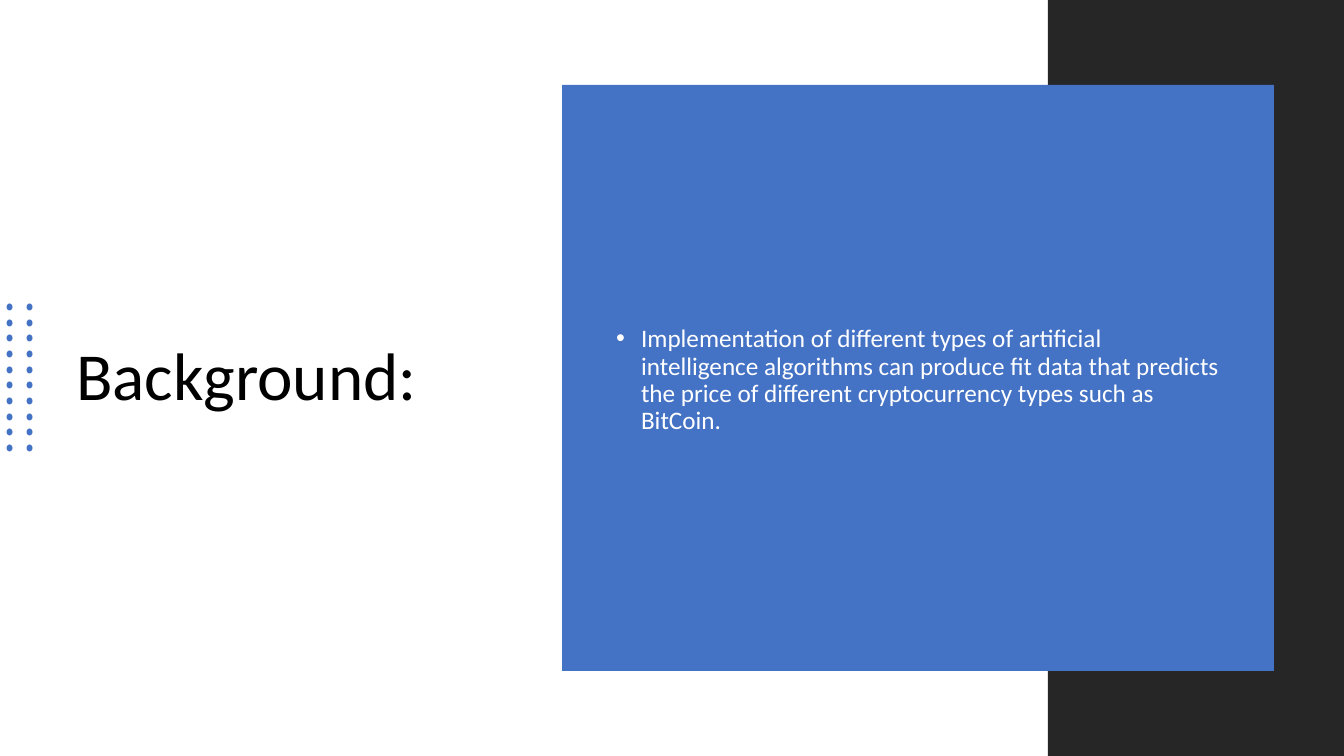
from itertools import product

from lxml import etree
from pptx import Presentation
from pptx import util as u
from pptx.dml import color
from pptx.enum import shapes, text
from pptx.oxml import ns

SLIDE_WIDTH, SLIDE_HEIGHT = 1344, 756
EMU_PER_PX = 12192000 / SLIDE_WIDTH
BLUE, DARK, WHITE, BLACK = "4472C4", "262626", "FFFFFF", "000000"
DOT_ROWS, DOT_COLUMNS = 10, 2


def px(length):
    return u.Emu(round(length * EMU_PER_PX))


def rgb(value):
    return color.RGBColor.from_string(value)


def add_block(parent, kind, left, top, width, height, fill):
    """Add a flat filled preset shape to a slide's or group's shapes."""
    block = parent.add_shape(kind, px(left), px(top), px(width), px(height))
    block.shadow.inherit = False
    block.fill.solid()
    block.fill.fore_color.rgb = rgb(fill)
    block.line.fill.background()
    return block


def add_dots(slide):
    """Add the evenly spaced grid of dots at the left edge."""
    dots = slide.shapes.add_group_shape()
    for row, column in product(range(DOT_ROWS), range(DOT_COLUMNS)):
        top = round(304 + row * 141 / (DOT_ROWS - 1))
        dot = add_block(dots.shapes, shapes.MSO_SHAPE.OVAL,
                        6 + 20 * column, top, 7, 6, BLUE)
        dot.rotation = 90


def place(box, left, top, width, height):
    box.left, box.top = px(left), px(top)
    box.width, box.height = px(width), px(height)


def write(box, words, *, size, fill, font="Calibri"):
    """Fill a placeholder with one left-aligned, vertically centred paragraph."""
    frame = box.text_frame
    frame.word_wrap = True
    frame.auto_size = text.MSO_AUTO_SIZE.NONE
    frame.vertical_anchor = text.MSO_ANCHOR.MIDDLE
    para = frame.paragraphs[0]
    para.alignment = text.PP_ALIGN.LEFT
    para.line_spacing = 0.9
    para.space_before = u.Pt(0)
    span = para.add_run()
    span.text = words
    span.font.name = font
    span.font.size = u.Pt(size)
    span.font.color.rgb = rgb(fill)
    return para


def add_bullet(para, fill, indent=25):
    properties = para._p.get_or_add_pPr()
    properties.set("marL", str(px(indent)))
    properties.set("indent", str(-px(indent)))
    bullet_color = etree.SubElement(properties, ns.qn("a:buClr"))
    etree.SubElement(bullet_color, ns.qn("a:srgbClr"), val=fill)
    etree.SubElement(properties, ns.qn("a:buFont"), typeface="Arial")
    etree.SubElement(properties, ns.qn("a:buChar"), char="•")


def main():
    deck = Presentation()
    deck.slide_width, deck.slide_height = px(SLIDE_WIDTH), px(SLIDE_HEIGHT)
    slide = deck.slides.add_slide(deck.slide_layouts[1])
    title, body = slide.placeholders

    place(title, 66, 115, 419, 528)
    write(title, "Background:", size=48, fill=BLACK)

    add_dots(slide)
    rectangle = shapes.MSO_SHAPE.RECTANGLE
    add_block(slide.shapes, rectangle, 1048, 0, 296, SLIDE_HEIGHT, DARK)
    panel = add_block(slide.shapes, rectangle, 562, 85, 712, 586, BLUE)

    place(body, 606, 130, 624, 501)
    para = write(
        body,
        "Implementation of different types of artificial intelligence "
        "algorithms can produce fit data that predicts the price of "
        "different cryptocurrency types such as BitCoin.",
        size=18, fill=WHITE)
    add_bullet(para, WHITE)
    panel._element.addnext(body._element)

    deck.save("out.pptx")


if __name__ == "__main__":
    main()
